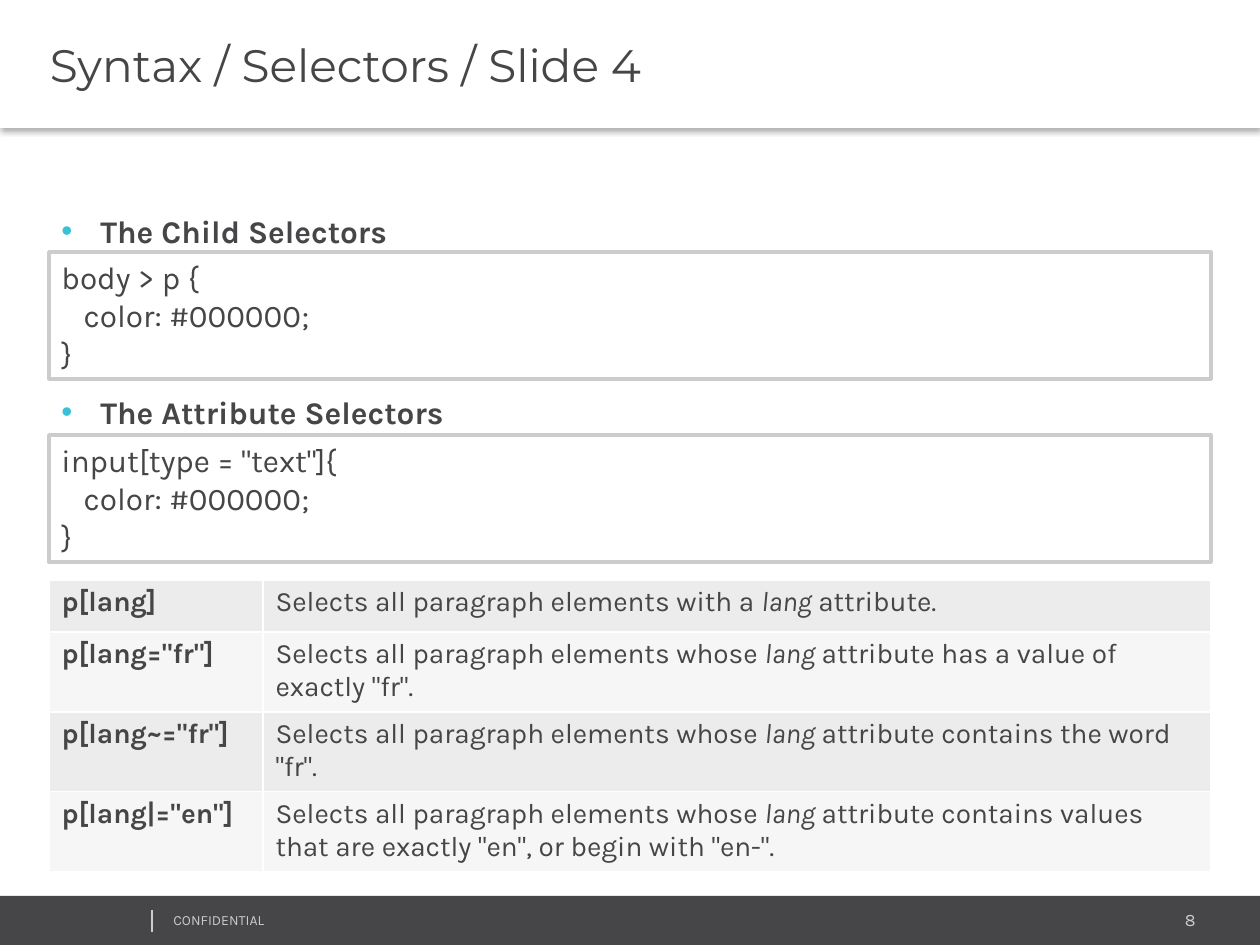
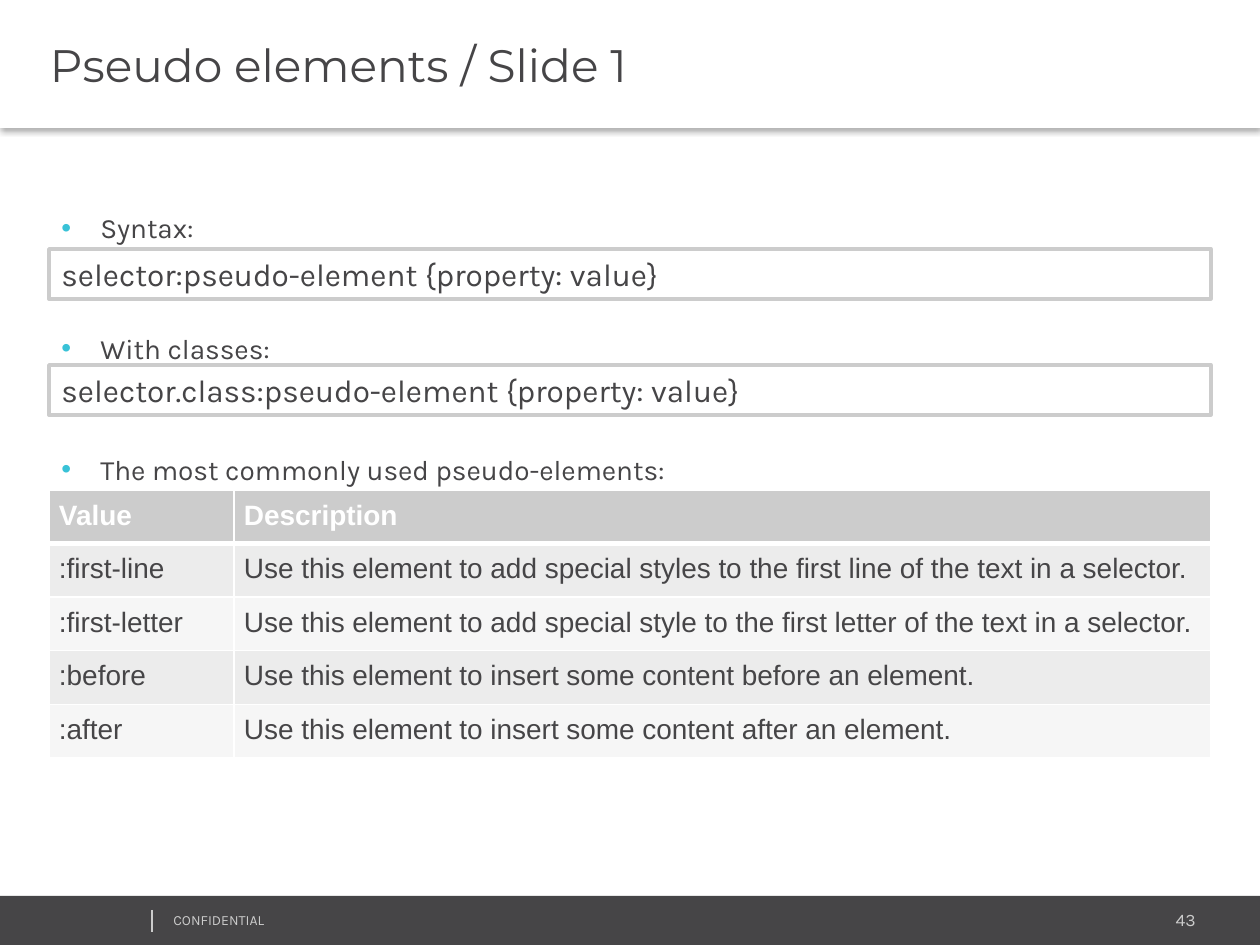
"""Build two CSS lecture slides on selectors and pseudo elements."""
from dataclasses import dataclass

from lxml import etree
from pptx import Presentation
from pptx.dml.color import RGBColor
from pptx.enum.shapes import MSO_CONNECTOR, MSO_SHAPE
from pptx.enum.text import MSO_ANCHOR, PP_ALIGN
from pptx.oxml.ns import qn
from pptx.util import Emu, Pt

RECTANGLE = MSO_SHAPE.RECTANGLE
STRAIGHT = MSO_CONNECTOR.STRAIGHT
TOP, MIDDLE = MSO_ANCHOR.TOP, MSO_ANCHOR.MIDDLE
LEFT, RIGHT = PP_ALIGN.LEFT, PP_ALIGN.RIGHT
EMU_PER_PX = 914400 / 126
WIDTH, HEIGHT = 1260, 945
MARGIN, CONTENT_WIDTH = 49, 1162
ROW_HEIGHT = 52


@dataclass(frozen=True)
class Theme:
    dark: str = "464547"
    grey: str = "CCCCCC"
    white: str = "FFFFFF"
    accent: str = "39C2D7"
    bands: tuple = ("ECECEC", "F6F6F6")
    heading_font: str = "Montserrat"
    body_font: str = "Karla"
    plain_font: str = "Arial"
    title_size: int = 26
    code_size: int = 18
    table_size: int = 16
    number_size: int = 10
    footer_size: int = 8


THEME = Theme()

LANG_ROWS = [
    ("p[lang]", "Selects all paragraph elements with a *lang* attribute."),
    ('p[lang="fr"]', "Selects all paragraph elements whose *lang* attribute "
                     'has a value of exactly "fr".'),
    ('p[lang~="fr"]', "Selects all paragraph elements whose *lang* attribute "
                      'contains the word "fr".'),
    ('p[lang|="en"]', "Selects all paragraph elements whose *lang* attribute "
                      'contains values that are exactly "en", or begin with "en-".'),
]
PSEUDO_ROWS = [
    ("Value", "Description"),
    (":first-line", "Use this element to add special styles to the first line of the text in a selector."),
    (":first-letter", "Use this element to add special style to the first letter of the text in a selector."),
    (":before", "Use this element to insert some content before an element."),
    (":after", "Use this element to insert some content after an element."),
]


def px(length):
    return Emu(round(length * EMU_PER_PX))


def rgb(color):
    return RGBColor.from_string(color)


def add_bullet(paragraph):
    properties = paragraph._p.get_or_add_pPr()
    properties.set("marL", str(px(39)))
    properties.set("indent", str(-px(39)))
    color = etree.SubElement(properties, qn("a:buClr"))
    etree.SubElement(color, qn("a:srgbClr"), val=THEME.accent)
    etree.SubElement(properties, qn("a:buFont"), typeface="Arial")
    etree.SubElement(properties, qn("a:buChar"), char="•")


def write(frame, text, *, size, font=THEME.body_font, color=THEME.dark, bold=False,
          align=LEFT, anchor=TOP, bullet=False, line_spacing=1.0, gap=0):
    """Fill a frame line by line; asterisks enclose italic words."""
    frame.word_wrap = True
    frame.vertical_anchor = anchor
    for index, line in enumerate(text.split("\n")):
        paragraph = frame.add_paragraph() if index else frame.paragraphs[0]
        if bullet:
            add_bullet(paragraph)
        paragraph.alignment = align
        paragraph.line_spacing = line_spacing
        if index and gap:
            paragraph.space_before = Pt(gap)
        for part, words in enumerate(line.split("*")):
            run = paragraph.add_run()
            run.text = words
            run.font.name = font
            run.font.size = Pt(size)
            run.font.bold = bold
            run.font.italic = part % 2 == 1
            run.font.color.rgb = rgb(color)


def add_label(slide, box, text, **style):
    label = slide.shapes.add_textbox(*map(px, box))
    write(label.text_frame, text, **style)


def add_panel(slide, box, fill, outline=None):
    panel = slide.shapes.add_shape(RECTANGLE, *map(px, box))
    panel.shadow.inherit = False
    panel.fill.solid()
    panel.fill.fore_color.rgb = rgb(fill)
    if outline:
        panel.line.color.rgb = rgb(outline)
        panel.line.width = Pt(2)
    else:
        panel.line.fill.background()
    return panel


def add_title(slide, text):
    band = add_panel(slide, (0, 0, WIDTH, 128), THEME.white)
    effects = band._element.spPr.find(qn("a:effectLst"))
    shadow = etree.SubElement(effects, qn("a:outerShdw"), blurRad=str(Pt(3.1)),
                              dist=str(Pt(2)), dir="5400000", algn="t", rotWithShape="0")
    color = etree.SubElement(shadow, qn("a:srgbClr"), val="000000")
    etree.SubElement(color, qn("a:alpha"), val="30000")
    band.text_frame.margin_left = px(50)
    write(band.text_frame, text, size=THEME.title_size, font=THEME.heading_font, anchor=MIDDLE)


def add_footer(slide, number):
    add_panel(slide, (0, 896, WIDTH, 49), THEME.dark)
    add_label(slide, (1003, 903, 205, 34), str(number), size=THEME.number_size,
              color=THEME.grey, align=RIGHT)
    add_label(slide, (161, 905, 319, 30), "CONFIDENTIAL", size=THEME.footer_size,
              color=THEME.grey)
    divider = slide.shapes.add_connector(STRAIGHT, px(152), px(910), px(152), px(932))
    divider.line.color.rgb = rgb(THEME.grey)
    divider.line.width = Pt(0.75)
    etree.SubElement(divider._element.spPr, qn("a:effectLst"))


def add_topics(slide, topics, **style):
    add_label(slide, (MARGIN, 198, CONTENT_WIDTH, 630), "\n".join(topics),
              bullet=True, line_spacing=1.2, **style)


def add_code(slide, top, height, code):
    panel = add_panel(slide, (MARGIN, top, CONTENT_WIDTH, height), THEME.white, THEME.grey)
    write(panel.text_frame, code, size=THEME.code_size)


def set_borders(cell, top, bottom):
    properties = cell._tc.get_or_add_tcPr()
    sides = (("a:lnL", 1), ("a:lnR", 1), ("a:lnT", top), ("a:lnB", bottom))
    for index, (side, width) in enumerate(sides):
        border = etree.Element(qn(side), w=str(Pt(width)))
        fill = etree.SubElement(border, qn("a:solidFill"))
        etree.SubElement(fill, qn("a:srgbClr"), val=THEME.white)
        properties.insert(index, border)


def add_reference(slide, top, widths, rows, *, font, header=False, bold_terms=False, inset=None):
    frame = slide.shapes.add_table(len(rows), len(widths), px(MARGIN), px(top),
                                   px(sum(widths)), px(ROW_HEIGHT * len(rows)))
    reference = frame.table
    reference.first_row = header
    reference.horz_banding = False
    for column, width in zip(reference.columns, widths):
        column.width = px(width)
    for r, row in enumerate(rows):
        reference.rows[r].height = px(ROW_HEIGHT)
        heading = header and r == 0
        for c, text in enumerate(row):
            cell = reference.cell(r, c)
            cell.fill.solid()
            cell.fill.fore_color.rgb = rgb(THEME.grey if heading else THEME.bands[(r - header) % 2])
            set_borders(cell, top=3 if header and r == 1 else 1, bottom=3 if heading else 1)
            if inset:
                cell.margin_left = cell.margin_right = px(inset)
                cell.margin_top = cell.margin_bottom = px(inset)
            write(cell.text_frame, text, size=THEME.table_size, font=font,
                  color=THEME.white if heading else THEME.dark,
                  bold=heading or (bold_terms and c == 0))


def start_slide(deck, title, number):
    slide = deck.slides.add_slide(deck.slide_layouts[6])
    add_footer(slide, number)
    add_title(slide, title)
    return slide


def build_selectors(deck):
    slide = start_slide(deck, "Syntax / Selectors / Slide 4", 8)
    add_topics(slide, ["The Child Selectors", "The Attribute Selectors"],
               size=18, bold=True, gap=77.5)
    for top, selector in ((252, "body > p {"), (435, 'input[type = "text"]{')):
        add_code(slide, top, 127, selector + "\n   color: #000000;\n}")
    add_reference(slide, 580, (214, 948), LANG_ROWS, font=THEME.body_font, bold_terms=True)


def build_pseudo_elements(deck):
    slide = start_slide(deck, "Pseudo elements / Slide 1", 43)
    add_topics(slide, ["Syntax:", "With classes:", "The most commonly used pseudo-elements:"],
               size=16, gap=46)
    for top, selector in ((249, "selector"), (365, "selector.class")):
        add_code(slide, top, 50, selector + ":pseudo-element {property: value}")
    add_reference(slide, 490, (185, 977), PSEUDO_ROWS, font=THEME.plain_font,
                  header=True, inset=10)


def main():
    deck = Presentation()
    deck.slide_width, deck.slide_height = px(WIDTH), px(HEIGHT)
    build_selectors(deck)
    build_pseudo_elements(deck)
    deck.save("out.pptx")


if __name__ == "__main__":
    main()
